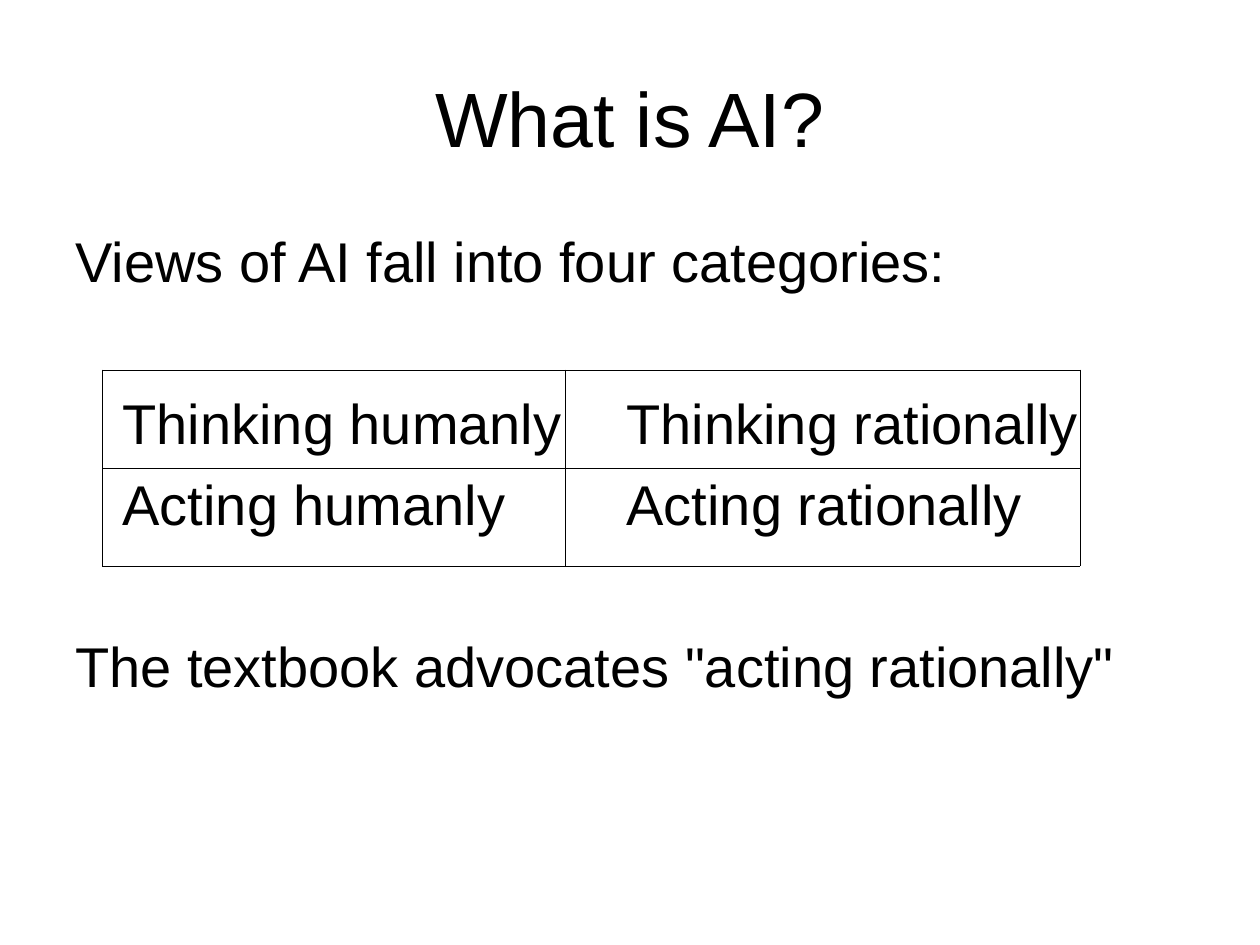
from lxml.etree import SubElement
from pptx import Presentation
from pptx.dml.color import RGBColor
from pptx.enum.text import MSO_ANCHOR, PP_ALIGN
from pptx.oxml.ns import qn
from pptx.util import Pt

COLORS = {"ink": "000000", "paper": "FFFFFF"}
FONT = "Arial"
LINE_GAP = 8
BLOCK_GAP = 54
TAB_STOPS = (27, 315)

# Each line of the body with the space above it
BODY = [
    ("Views of AI fall into four categories:", LINE_GAP),
    ("\tThinking humanly\tThinking rationally", BLOCK_GAP),
    ("\tActing humanly\tActing rationally", LINE_GAP),
    ('The textbook advocates "acting rationally"', BLOCK_GAP),
]


def style_paragraph(p, size):
    for r in p.runs:
        r.font.name = FONT
        r.font.size = Pt(size)
        r.font.color.rgb = RGBColor.from_string(COLORS["ink"])


def add_text_box(slide, left, top, width, height, anchor):
    tf = slide.shapes.add_textbox(Pt(left), Pt(top), Pt(width), Pt(height)).text_frame
    tf.word_wrap = True
    tf.vertical_anchor = anchor
    return tf


def add_title(slide, text):
    tf = add_text_box(slide, 36, 21.6, 648, 90, MSO_ANCHOR.MIDDLE)
    tf.text = text
    p = tf.paragraphs[0]
    p.alignment = PP_ALIGN.CENTER
    style_paragraph(p, 44)


def set_tab_stops(p, stops):
    tab_list = SubElement(p._p.get_or_add_pPr(), qn("a:tabLst"))
    for stop in stops:
        SubElement(tab_list, qn("a:tab"), pos=str(Pt(stop)), algn="l")


def add_body(slide, lines):
    tf = add_text_box(slide, 36, 126, 648, 356.4, MSO_ANCHOR.TOP)
    tf.text = "\n".join(text for text, _ in lines)
    for p, (_, gap) in zip(tf.paragraphs, lines):
        p.space_before = Pt(gap)
        set_tab_stops(p, TAB_STOPS)
        style_paragraph(p, 32)


def set_borders(cell, width):
    tc_pr = cell._tc.get_or_add_tcPr()
    for index, side in enumerate(("a:lnL", "a:lnR", "a:lnT", "a:lnB")):
        ln = tc_pr.makeelement(qn(side), w=str(Pt(width)))
        fill = SubElement(ln, qn("a:solidFill"))
        SubElement(fill, qn("a:srgbClr"), val=COLORS["ink"])
        tc_pr.insert(index, ln)


def add_grid(slide, left, top, col_widths, row_heights):
    shape = slide.shapes.add_table(
        len(row_heights), len(col_widths), Pt(left), Pt(top),
        Pt(sum(col_widths)), Pt(sum(row_heights)))
    table = shape.table
    table.first_row = table.horz_banding = False
    for column, width in zip(table.columns, col_widths):
        column.width = Pt(width)
    for row, height in zip(table.rows, row_heights):
        row.height = Pt(height)
    for cell in table.iter_cells():
        cell.fill.background()
        set_borders(cell, 0.06)


def main():
    prs = Presentation()
    prs.slide_width, prs.slide_height = Pt(720), Pt(540)
    slide = prs.slides.add_slide(prs.slide_layouts[6])
    fill = slide.background.fill
    fill.solid()
    fill.fore_color.rgb = RGBColor.from_string(COLORS["paper"])

    # Heading and text
    add_title(slide, "What is AI?")
    add_body(slide, BODY)

    # Two-by-two frame around the four categories
    add_grid(slide, 58.5, 211.3, (264.2, 294.3), (56, 56))

    prs.save("out.pptx")


if __name__ == "__main__":
    main()
